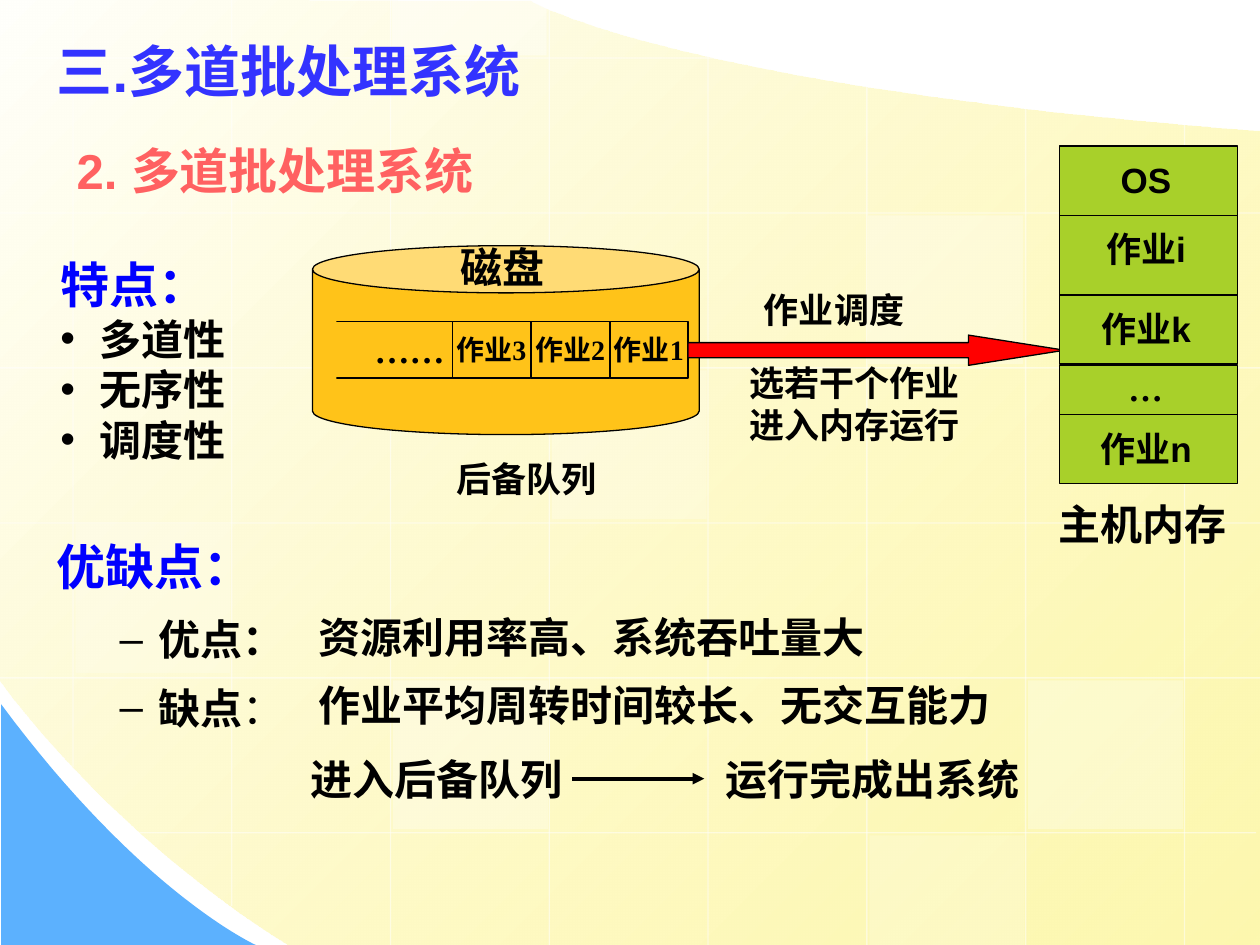
from dataclasses import dataclass

from lxml import etree
from pptx import Presentation
from pptx.dml.color import RGBColor
from pptx.enum.shapes import MSO_CONNECTOR, MSO_SHAPE
from pptx.enum.text import MSO_ANCHOR, MSO_AUTO_SIZE, PP_ALIGN
from pptx.oxml.ns import qn
from pptx.util import Inches, Pt

RECT, CAN, ARROW = MSO_SHAPE.RECTANGLE, MSO_SHAPE.CAN, MSO_SHAPE.RIGHT_ARROW
STRAIGHT = MSO_CONNECTOR.STRAIGHT
MIDDLE = MSO_ANCHOR.MIDDLE
GROW = MSO_AUTO_SIZE.SHAPE_TO_FIT_TEXT
LEFT, CENTER, RIGHT = PP_ALIGN.LEFT, PP_ALIGN.CENTER, PP_ALIGN.RIGHT
HANGING = (0.81, -0.31)


@dataclass(frozen=True)
class Theme:
    white: str = "FFFFFF"
    black: str = "000000"
    cream: str = "FFFFFB"
    yellow: str = "FDF58D"
    sky: str = "5CB1FE"
    title: str = "3333FF"
    subtitle: str = "FF6161"
    heading: str = "0000FF"
    disk: str = "FFC319"
    memory: str = "A8D02A"
    arrow: str = "FF0000"
    sans: str = "Arial"
    serif: str = "Times New Roman"
    cjk: str = "Noto Sans CJK SC"
    title_size: int = 32
    head_size: int = 28
    body_size: int = 24
    label_size: int = 20
    cell_size: int = 16


def set_alpha(color, percent):
    etree.SubElement(color, qn("a:alpha"), val=str(percent * 1000))


def curve(p0, p1, p2, p3, steps=32):
    """Points along a cubic Bezier curve, both ends included."""
    points = []
    for i in range(steps + 1):
        t = i / steps
        weights = ((1 - t) ** 3, 3 * t * (1 - t) ** 2, 3 * t * t * (1 - t), t ** 3)
        points.append(tuple(sum(w * p[axis] for w, p in zip(weights, (p0, p1, p2, p3)))
                            for axis in (0, 1)))
    return points


class Painter:
    def __init__(self, slide, theme):
        self.s, self.theme = slide, theme

    def style(self, sp, fill=None, line=None, alpha=None):
        sp.shadow.inherit = False
        if fill:
            sp.fill.solid()
            sp.fill.fore_color.rgb = RGBColor.from_string(fill)
            if alpha:
                set_alpha(next(sp.element.spPr.iter(qn("a:srgbClr"))), alpha)
        else:
            sp.fill.background()
        if line:
            sp.line.color.rgb = RGBColor.from_string(line)
            sp.line.width = Pt(0.75)
        else:
            sp.line.fill.background()
        return sp

    def shape(self, kind, at, fill=None, line=None, alpha=None, adjust=()):
        sp = self.s.shapes.add_shape(kind, *map(Inches, at))
        for i, value in enumerate(adjust):
            sp.adjustments[i] = value
        return self.style(sp, fill, line, alpha)

    def outline(self, points, fill):
        points = [(Inches(x), Inches(y)) for x, y in points]
        builder = self.s.shapes.build_freeform(*points[0], scale=1.0)
        builder.add_line_segments(points[1:], close=True)
        return self.style(builder.convert_to_shape(), fill)

    def line(self, start, end, color, width, alpha=None, arrow=False):
        cx = self.s.shapes.add_connector(STRAIGHT, *map(Inches, start + end))
        cx.line.color.rgb = RGBColor.from_string(color)
        cx.line.width = Pt(width)
        sp_pr = cx.element.spPr
        if alpha:
            set_alpha(next(sp_pr.iter(qn("a:srgbClr"))), alpha)
        if arrow:
            etree.SubElement(sp_pr.find(qn("a:ln")), qn("a:tailEnd"), type="triangle")
        etree.SubElement(sp_pr, qn("a:effectLst"))

    def box(self, at, anchor=None, grow=True):
        tf = self.s.shapes.add_textbox(*map(Inches, at)).text_frame
        tf.word_wrap = True
        if grow:
            tf.auto_size = GROW
        if anchor is not None:
            tf.vertical_anchor = anchor
        return tf

    def para(self, tf, text, size, color=None, font=None, align=LEFT, indent=(0, 0),
             spacing=None, before=None, level=0, bullet=None, plain=""):
        """Add a bold paragraph, with an optional run in normal weight after it."""
        p = tf.paragraphs[0]
        if p.runs:
            p = tf.add_paragraph()
        p.alignment, p.level = align, level
        if spacing:
            p.line_spacing = spacing
        if before:
            p.space_before = Pt(before)
        p_pr = p._p.get_or_add_pPr()
        p_pr.set("marL", str(Inches(indent[0])))
        p_pr.set("indent", str(Inches(indent[1])))
        if bullet:
            bu_color = etree.SubElement(p_pr, qn("a:buClr"))
            etree.SubElement(bu_color, qn("a:srgbClr"), val=self.theme.black)
            etree.SubElement(p_pr, qn("a:buFont"), typeface=self.theme.sans)
            etree.SubElement(p_pr, qn("a:buChar"), char=bullet)
        for words, bold in ((text, True), (plain, False)):
            if words:
                r = p.add_run()
                r.text = words
                r.font.size, r.font.bold = Pt(size), bold
                r.font.name = font or self.theme.sans
                r.font.color.rgb = RGBColor.from_string(color or self.theme.black)
                etree.SubElement(r._r.get_or_add_rPr(), qn("a:ea"), typeface=self.theme.cjk)

    def label(self, at, text, size, font=None):
        self.para(self.box(at), text, size, font=font, align=CENTER, indent=HANGING,
                  spacing=1.15, before=size * 0.625)

    def cell(self, at, text, size, fill, align=CENTER):
        tf = self.shape(RECT, at, fill, self.theme.black).text_frame
        tf.word_wrap, tf.vertical_anchor = False, MIDDLE
        if align == RIGHT:
            tf.margin_right = Inches(0.06)
        self.para(tf, text, size, font=self.theme.serif, align=align)


def draw_background(d):
    t = d.theme
    field = d.outline([(10, 7.5)] + curve((2.3, 7.5), (0.86, 6.61), (-0.01, 5.39), (0, 5.39))
                      + [(-0.01, -0.01)]
                      + curve((4.21, 0.01), (4.21, 0.01), (5.37, 0.69), (10, 1.04)), t.cream)
    field.fill.gradient()
    field.fill.gradient_angle = 315
    for stop, color in zip(field.fill.gradient_stops, (t.cream, t.yellow)):
        stop.color.rgb = RGBColor.from_string(color)
    set_alpha(list(field.element.spPr.iter(qn("a:srgbClr")))[1], 70)
    d.outline([(0.01, 7.5)] + curve((2.03, 7.5), (2.03, 7.5), (1.12, 7.09), (0.01, 5.59)), t.sky)

    columns = [(0, 6.09), (0, 7.19), (0, 7.5), (0, 7.52),
               (0.43, 7.52), (0.68, 7.52), (0.85, 7.52), (0.98, 7.52)]
    for i, (top, bottom) in enumerate(columns):
        x = 0.58 + 1.26 * i
        d.line((x, top), (x, bottom), t.white, 0.75, alpha=50)
    rows = [(5.68, 0)] + [(10.01, 0)] * 4 + [(9.97, 1.11)]
    for i, (start, end) in enumerate(rows):
        y = 0.46 + 1.23 * i
        d.line((start, y), (end, y), t.white, 0.75, alpha=50)
    for x, y, height, alpha in [(4.38, 2.94, 1.18, 25), (8.16, 5.4, 1.18, 30),
                                (0.6, 4.16, 1.18, 20), (6.9, 6.63, 0.87, 20),
                                (3.11, 0, 0.44, 40), (3.12, 5.4, 1.18, 30),
                                (6.89, 1.71, 1.18, 30)]:
        d.shape(RECT, (x, y, 1.23, height), t.white, alpha=alpha)


def draw_text(d):
    t = d.theme
    d.para(d.box((0.35, 0.21, 9, 0.69), MIDDLE, grow=False),
           "三.多道批处理系统", t.title_size, t.title)
    d.para(d.box((0.51, 1.07, 9, 0.63), grow=False), "2. 多道批处理系统", t.head_size,
           t.subtitle, indent=(0.38, -0.38), before=7)

    features = d.box((-0.12, 1.97, 3.62, 1.77))
    d.para(features, "特点：", t.head_size, t.heading, indent=HANGING)
    for text in ("多道性", "无序性", "调度性"):
        d.para(features, text, t.body_size, indent=HANGING, bullet="•")

    sides = d.box((0.35, 4.14, 2.19, 1.65), grow=False)
    d.para(sides, "优缺点：", t.head_size, t.heading, t.cjk, indent=(0.38, -0.38),
           spacing=1.15, before=7)
    for text, plain in (("优点：", ""), ("缺点", "：")):
        d.para(sides, text, t.body_size, font=t.cjk, indent=HANGING, spacing=1.15,
               before=6, level=1, bullet="–", plain=plain)

    for at, lines in [((1.93, 4.74, 6.3, 1.11),
                       ("资源利用率高、系统吞吐量大", "作业平均周转时间较长、无交互能力")),
                      ((1.87, 5.87, 2.8, 0.56), ("进入后备队列",)),
                      ((5.16, 5.87, 3.94, 0.56), ("运行完成出系统",))]:
        tf = d.box(at)
        for text in lines:
            d.para(tf, text, t.body_size, indent=(0.5, 0), spacing=1.15, before=6, level=1)
    d.line((4.54, 6.18), (5.59, 6.18), t.black, 2.25, arrow=True)


def draw_scheduling(d):
    t = d.theme
    d.shape(CAN, (2.48, 1.95, 3.07, 1.5), t.disk, t.black, adjust=(0.25,))
    for i, (text, fill) in enumerate([("作业3", t.disk), ("作业2", t.disk), ("作业1", None)]):
        d.cell((3.59 + 0.625 * i, 2.55, 0.62, 0.45), text, t.cell_size, fill)
    d.cell((2.6, 2.55, 0.99, 0.45), "……", t.label_size, t.disk, RIGHT)
    d.shape(RECT, (2.57, 2.42, 0.1, 0.71), t.disk)
    d.label((2.91, 1.81, 1.65, 0.56), "磁盘", t.body_size)
    d.label((7.5, 3.85, 2.64, 0.56), "主机内存", t.body_size)
    d.label((2.55, 3.53, 2.76, 0.49), "后备队列", t.label_size)
    d.shape(ARROW, (5.46, 2.66, 2.99, 0.24), t.arrow, t.black, adjust=(0.5, 3.18))
    d.label((4.99, 2.19, 2.76, 0.49), "作业调度", t.label_size)
    action = d.box((5.31, 2.82, 2.44, 0.77))
    for text in ("选若干个作业", "进入内存运行"):
        d.para(action, text, t.label_size, align=CENTER, indent=HANGING)
    for text, top, height, font in [("OS", 1.16, 1, t.sans), ("作业i", 1.71, 1.16, t.sans),
                                    ("作业k", 2.34, 0.55, t.sans), ("…", 2.9, 0.45, t.cjk),
                                    ("作业n", 3.29, 0.55, t.sans)]:
        d.shape(RECT, (8.41, top, 1.41, height), t.memory, t.black)
        d.label((7.35, top, 2.99, 0.49), text, t.label_size, font)


def main():
    prs = Presentation()
    prs.slide_width, prs.slide_height = Inches(10), Inches(7.5)
    d = Painter(prs.slides.add_slide(prs.slide_layouts[6]), Theme())
    draw_background(d)
    draw_text(d)
    draw_scheduling(d)
    prs.save("out.pptx")


if __name__ == "__main__":
    main()
